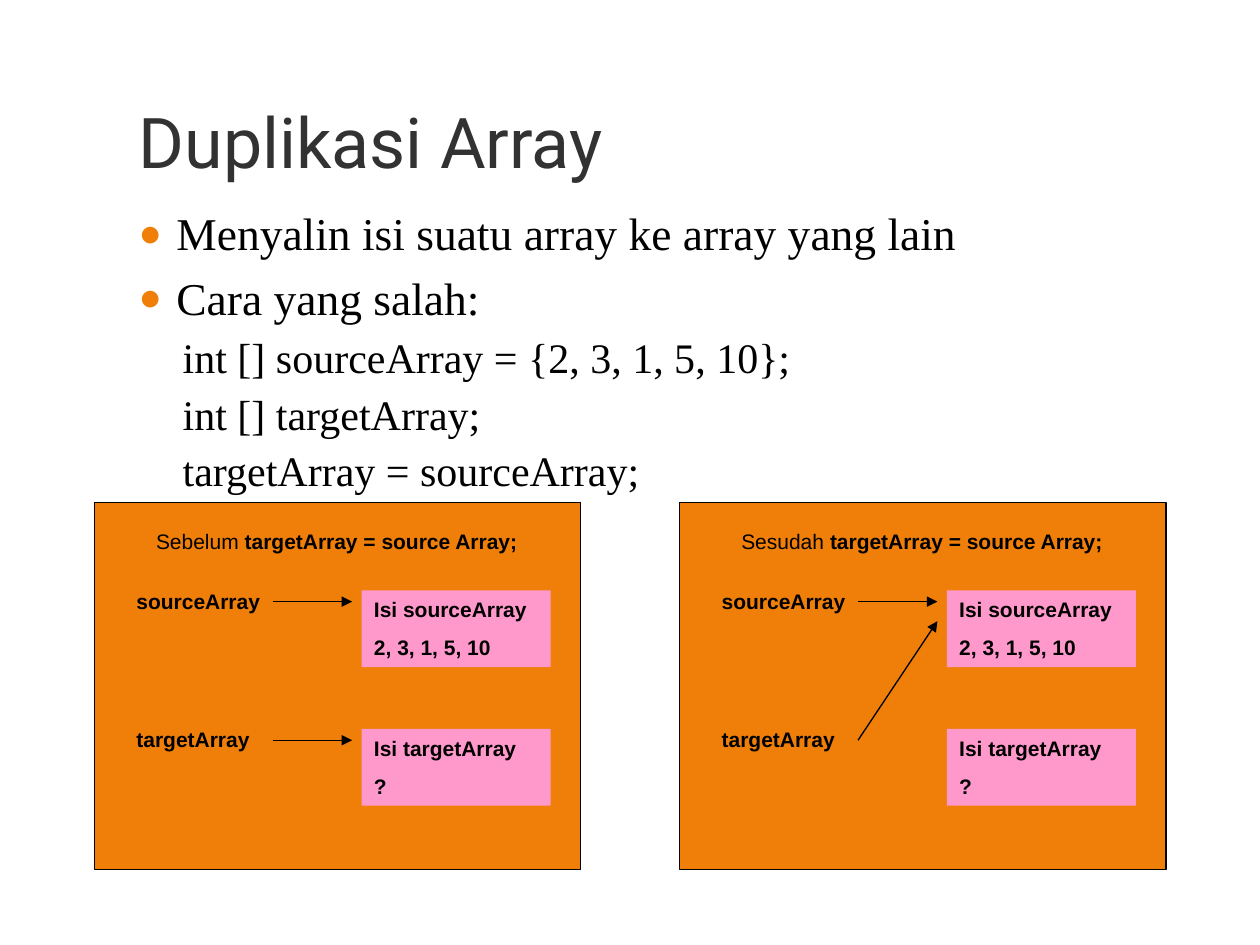
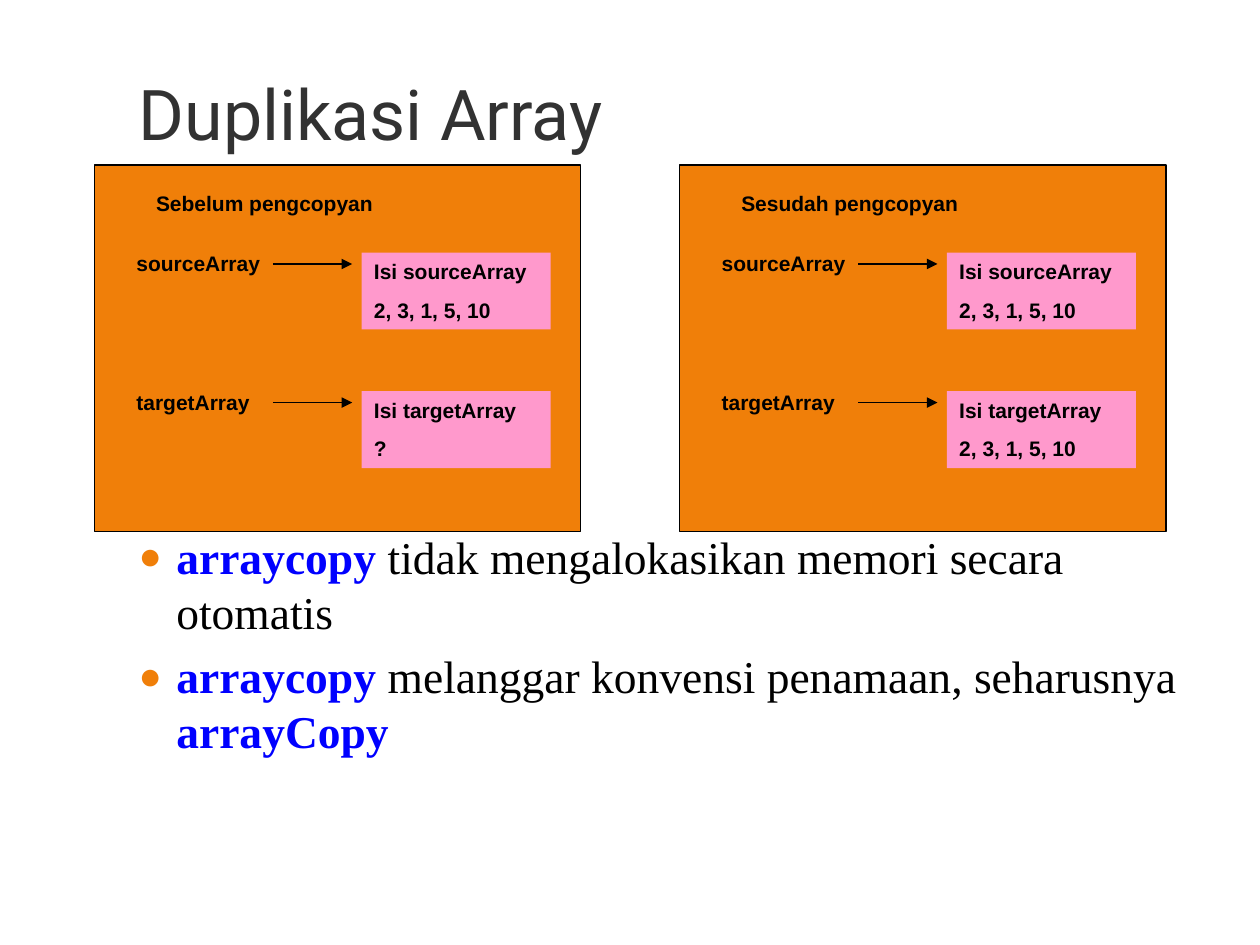
from dataclasses import dataclass

from lxml import etree
from pptx import Presentation
from pptx.dml.color import RGBColor
from pptx.enum.shapes import MSO_CONNECTOR, MSO_SHAPE
from pptx.enum.text import MSO_ANCHOR, MSO_AUTO_SIZE, PP_ALIGN
from pptx.oxml.ns import qn
from pptx.util import Inches, Pt

RECTANGLE = MSO_SHAPE.RECTANGLE
STRAIGHT = MSO_CONNECTOR.STRAIGHT
LEFT = PP_ALIGN.LEFT
TOP, BOTTOM = MSO_ANCHOR.TOP, MSO_ANCHOR.BOTTOM
NO_AUTOFIT = MSO_AUTO_SIZE.NONE

# Grid of the slide: 100 columns by 75 rows
SLIDE_WIDTH, SLIDE_HEIGHT = Inches(10), Inches(7.5)
COLUMN, ROW = SLIDE_WIDTH // 100, SLIDE_HEIGHT // 75


@dataclass(frozen=True)
class Theme:
    title_color: str = "323232"
    text_color: str = "000000"
    keyword_color: str = "0000FF"
    panel_color: str = "F07F09"
    cell_color: str = "FF99CC"
    title_font: str = "Roboto"
    body_font: str = "Times New Roman"
    diagram_font: str = "Arial"
    title_size: float = 40
    bullet_size: float = 26
    code_size: float = 24
    diagram_size: float = 12
    line_width: float = 0.75


THEME = Theme()


@dataclass(frozen=True)
class Box:
    """An area in columns and rows."""
    left: float
    top: float
    width: float
    height: float

    def inside(self, left, top, width, height):
        return Box(self.left + left, self.top + top, width, height)

    def point(self, across, down):
        return int((self.left + across) * COLUMN), int((self.top + down) * ROW)

    def lengths(self):
        return (*self.point(0, 0), int(self.width * COLUMN), int(self.height * ROW))


# Parts of a panel, in columns and rows from its corner
PANEL_LEFTS = (7.5, 53.95)
PANEL_WIDTH, PANEL_HEIGHT = 38.6, 29.1
ARRAY_NAMES = ("sourceArray", "targetArray")
ARRAY_TOP, ARRAY_PITCH = 6.3, 11
ARROW_START, ARROW_END, ARROW_DROP = 14.15, 20.45, 1.55
SHARED_ARROW_DROP = 3.1
SOURCE_VALUES, UNKNOWN = "2, 3, 1, 5, 10", "?"


# Text
def add_run(paragraph, text, font, size, color=THEME.text_color, bold=False):
    run = paragraph.add_run()
    run.text = text
    run.font.name = font
    run.font.size = Pt(size)
    run.font.bold = bold
    run.font.color.rgb = RGBColor.from_string(color)


def next_paragraph(text_frame, index):
    return text_frame.add_paragraph() if index else text_frame.paragraphs[0]


def place_placeholder(placeholder, box, anchor):
    placeholder.left, placeholder.top, placeholder.width, placeholder.height = box.lengths()
    text_frame = placeholder.text_frame
    text_frame.auto_size = NO_AUTOFIT
    text_frame.vertical_anchor = anchor
    return text_frame


def add_title(slide, box, text):
    text_frame = place_placeholder(slide.shapes.title, box, BOTTOM)
    text_frame.margin_bottom = Inches(0.1)
    paragraph = text_frame.paragraphs[0]
    paragraph.alignment = LEFT
    add_run(paragraph, text, THEME.title_font, THEME.title_size, THEME.title_color)


def set_bullet(paragraph, margin, hanging, bulleted):
    properties = paragraph._p.get_or_add_pPr()
    properties.set("marL", str(Inches(margin)))
    properties.set("indent", str(-Inches(hanging)))
    if not bulleted:
        etree.SubElement(properties, qn("a:buNone"))
        return
    color = etree.SubElement(properties, qn("a:buClr"))
    etree.SubElement(color, qn("a:srgbClr"), val=THEME.panel_color)
    etree.SubElement(properties, qn("a:buSzPct"), val="85000")
    etree.SubElement(properties, qn("a:buChar"), char="●")


def add_body(slide, box, bullets, code_lines=()):
    """Bullets are lists of (text, is_keyword); code lines follow them."""
    text_frame = place_placeholder(slide.placeholders[1], box, TOP)
    items = [(runs, True) for runs in bullets]
    items += [([(line, False)], False) for line in code_lines]
    for index, (runs, bulleted) in enumerate(items):
        paragraph = next_paragraph(text_frame, index)
        paragraph.level = 0 if bulleted else 1
        paragraph.space_before = Pt(5.8 if bulleted else 3.7)
        set_bullet(paragraph, *((0.3, 0.3) if bulleted else (0.6, 0.25)), bulleted)
        size = THEME.bullet_size if bulleted else THEME.code_size
        for text, is_keyword in runs:
            color = THEME.keyword_color if is_keyword else THEME.text_color
            add_run(paragraph, text, THEME.body_font, size, color, is_keyword)


# Diagram parts
def fill_diagram_text(text_frame, lines):
    """Lines are lists of (text, bold)."""
    text_frame.word_wrap = True
    text_frame.vertical_anchor = TOP
    for index, runs in enumerate(lines):
        paragraph = next_paragraph(text_frame, index)
        paragraph.alignment = LEFT
        paragraph.space_before = Pt(7.5)
        for text, bold in runs:
            add_run(paragraph, text, THEME.diagram_font, THEME.diagram_size, bold=bold)


def add_label(slide, box, runs):
    label = slide.shapes.add_textbox(*box.lengths())
    fill_diagram_text(label.text_frame, [runs])


def add_rectangle(slide, box, color, outlined=False):
    rectangle = slide.shapes.add_shape(RECTANGLE, *box.lengths())
    rectangle.shadow.inherit = False
    rectangle.fill.solid()
    rectangle.fill.fore_color.rgb = RGBColor.from_string(color)
    if outlined:
        rectangle.line.color.rgb = RGBColor.from_string(THEME.text_color)
        rectangle.line.width = Pt(THEME.line_width)
    else:
        rectangle.line.fill.background()
    return rectangle


def add_arrow(slide, start, end):
    arrow = slide.shapes.add_connector(STRAIGHT, *start, *end)
    arrow.line.color.rgb = RGBColor.from_string(THEME.text_color)
    arrow.line.width = Pt(THEME.line_width)
    etree.SubElement(arrow.line._get_or_add_ln(), qn("a:tailEnd"), type="triangle")
    etree.SubElement(arrow._element.spPr, qn("a:effectLst"))


def add_panel(slide, box, caption, target_values, shared=False):
    """A memory state; if shared, both names point to the source's content."""
    add_rectangle(slide, box, THEME.panel_color, outlined=True)
    add_label(slide, box.inside(3.9, 1.55, 30.7, 3), caption)
    for index, (name, values) in enumerate(zip(ARRAY_NAMES, (SOURCE_VALUES, target_values))):
        top = ARRAY_TOP + index * ARRAY_PITCH
        add_label(slide, box.inside(2.35, top, 12.6, 3), [(name, True)])
        cell = add_rectangle(slide, box.inside(21.2, top + 0.65, 15, 6.1), THEME.cell_color)
        fill_diagram_text(cell.text_frame, [[(f"Isi {name}", True)], [(values, True)]])
        arrow_top = top + ARROW_DROP
        arrow_end = ARRAY_TOP + SHARED_ARROW_DROP if shared and index else arrow_top
        add_arrow(slide, box.point(ARROW_START, arrow_top), box.point(ARROW_END, arrow_end))


def add_panel_pair(slide, top, panels):
    for left, panel in zip(PANEL_LEFTS, panels):
        add_panel(slide, Box(left, top, PANEL_WIDTH, PANEL_HEIGHT), *panel)


# Slides
def add_slide(presentation, title_top):
    slide = presentation.slides.add_slide(presentation.slide_layouts[1])
    add_title(slide, Box(10, title_top, 85, 12.5), "Duplikasi Array")
    return slide


def add_assignment_slide(presentation):
    slide = add_slide(presentation, 3)
    add_body(
        slide, Box(10, 15.8, 85, 50),
        [[("Menyalin isi suatu array ke array yang lain", False)],
         [("Cara yang salah:", False)]],
        ["int [] sourceArray = {2, 3, 1, 5, 10};",
         "int [] targetArray;",
         "targetArray = sourceArray;"])
    statement = ("targetArray = source Array;", True)
    add_panel_pair(slide, 39.9, [
        ([("Sebelum ", False), statement], UNKNOWN),
        ([("Sesudah ", False), statement], UNKNOWN, True)])


def add_arraycopy_slide(presentation):
    slide = add_slide(presentation, 0.8)
    add_body(slide, Box(10, 41.5, 85, 24.3), [
        [("arraycopy", True), (" tidak mengalokasikan memori secara otomatis", False)],
        [("arraycopy", True), (" melanggar konvensi penamaan, seharusnya ", False),
         ("arrayCopy", True)]])
    add_panel_pair(slide, 13.1, [
        ([("Sebelum pengcopyan", True)], UNKNOWN),
        ([("Sesudah pengcopyan", True)], SOURCE_VALUES)])


def main():
    presentation = Presentation()
    presentation.slide_width, presentation.slide_height = SLIDE_WIDTH, SLIDE_HEIGHT
    add_assignment_slide(presentation)
    add_arraycopy_slide(presentation)
    presentation.save("out.pptx")


if __name__ == "__main__":
    main()
